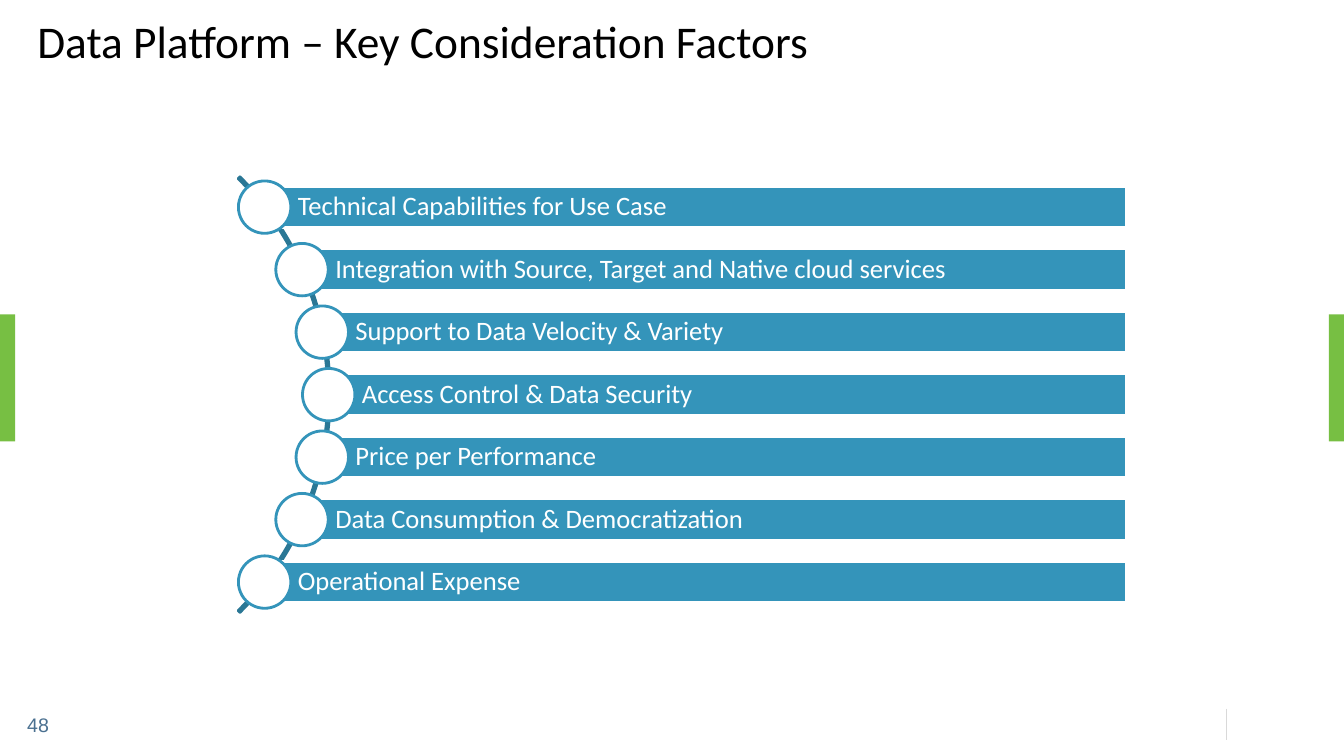
from math import sqrt

from lxml import etree
from pptx import Presentation
from pptx.dml.color import RGBColor
from pptx.enum.shapes import MSO_CONNECTOR as CONNECTOR, MSO_SHAPE as SHAPE
from pptx.enum.text import MSO_ANCHOR as ANCHOR, MSO_AUTO_SIZE as AUTO_SIZE, PP_ALIGN as ALIGN
from pptx.oxml.ns import qn
from pptx.util import Inches, Pt

SLIDE_WIDTH, SLIDE_HEIGHT = 13.33, 7.5
FACTORS = [
    "Technical Capabilities for Use Case",
    "Integration with Source, Target and Native cloud services",
    "Support to Data Velocity & Variety",
    "Access Control & Data Security",
    "Price per Performance",
    "Data Consumption & Democratization",
    "Operational Expense",
]


def color(value):
    return RGBColor.from_string(value)


def set_line(line, value, width):
    line.color.rgb = color(value)
    line.width = Pt(width)


def add_shape(slide, kind, box, fill=None, line=None):
    shape = slide.shapes.add_shape(kind, *map(Inches, box))
    shape.shadow.inherit = False
    if fill:
        shape.fill.solid()
        shape.fill.fore_color.rgb = color(fill)
    else:
        shape.fill.background()
    if line:
        set_line(shape.line, line, 2)
    else:
        shape.line.fill.background()
    return shape


def write_text(shape, text, size, font, value, insets, spacing=None, **frame_format):
    frame = shape.text_frame
    sides = ("margin_left", "margin_top", "margin_right", "margin_bottom")
    settings = dict(zip(sides, map(Inches, insets)))
    settings.update(vertical_anchor=ANCHOR.MIDDLE, word_wrap=True, auto_size=AUTO_SIZE.NONE)
    settings.update(frame_format)
    for name, setting in settings.items():
        setattr(frame, name, setting)
    paragraph = frame.paragraphs[0]
    paragraph.alignment = ALIGN.LEFT
    paragraph.line_spacing = spacing
    run = paragraph.add_run()
    run.text = text
    for name, setting in {"size": Pt(size), "name": font}.items():
        setattr(run.font, name, setting)
    run.font.color.rgb = color(value)


def add_title(slide, box):
    title = slide.shapes.title
    for name, length in zip(("left", "top", "width", "height"), box):
        setattr(title, name, Inches(length))
    write_text(title, "Data Platform – Key Consideration Factors", 32.4, "Calibri",
               "000000", (0.1, 0.05, 0.1, 0.05), 0.9)


def add_edge_tabs(slide, top, width, height):
    for left in (0, SLIDE_WIDTH - width):
        add_shape(slide, SHAPE.RECTANGLE, (left, top, width, height), "77BF43")


def add_footer(slide, box):
    left, top, width, height = box
    # Divider at the right end
    ends = (left + width, top, left + width, top + height)
    divider = slide.shapes.add_connector(CONNECTOR.STRAIGHT, *map(Inches, ends))
    set_line(divider.line, "D9D9D9", 0.75)
    etree.SubElement(divider._element.spPr, qn("a:effectLst"))
    # Page number at the left end
    number = slide.shapes.add_textbox(*map(Inches, (left, top + 0.04, 0.24, 0.24)))
    write_text(number, "48", 14, "Arial", "4A7090", (0, 0, 0, 0),
               word_wrap=False, auto_size=AUTO_SIZE.SHAPE_TO_FIT_TEXT)


def add_factor_list(slide, box):
    """Bars whose left ends follow an arc bulging to the right."""
    left, top, width, height = box
    right, middle = left + width, top + height / 2
    arc_size, radius, step, bar_height, dot_size = 6.11, 3.04, 0.62, 0.41, 0.52
    arc_center = left - 2.14

    # Arc behind the bars, from -45 to 45 degrees
    arc = add_shape(slide, SHAPE.BLOCK_ARC,
                    (arc_center - arc_size / 2, middle - arc_size / 2, arc_size, arc_size),
                    line="2A7795")
    for index, adjustment in enumerate((189, 27, 0.004)):
        arc.adjustments[index] = adjustment

    # One bar and one dot for each factor
    for index, factor in enumerate(FACTORS):
        offset = (index - (len(FACTORS) - 1) / 2) * step
        x, y = arc_center + sqrt(radius ** 2 - offset ** 2), middle + offset
        bar = add_shape(slide, SHAPE.RECTANGLE,
                        (x, y - bar_height / 2, right - x, bar_height), "3494BA", "FFFFFF")
        write_text(bar, factor, 19, "Calibri", "FFFFFF", (0.33, 0.05, 0.05, 0.05), 0.9)
        add_shape(slide, SHAPE.OVAL,
                  (x - dot_size / 2, y - dot_size / 2, dot_size, dot_size), "FFFFFF", "3494BA")


def main():
    presentation = Presentation()
    presentation.slide_width = Inches(SLIDE_WIDTH)
    presentation.slide_height = Inches(SLIDE_HEIGHT)
    slide = presentation.slides.add_slide(presentation.slide_layouts[5])
    add_edge_tabs(slide, 3.12, 0.15, 1.26)
    add_title(slide, (0.27, 0.2, 12.8, 0.46))
    add_footer(slide, (0.27, 7.03, 11.89, 0.31))
    add_factor_list(slide, (2.36, 1.8, 8.81, 4.23))
    presentation.save("out.pptx")


if __name__ == "__main__":
    main()
